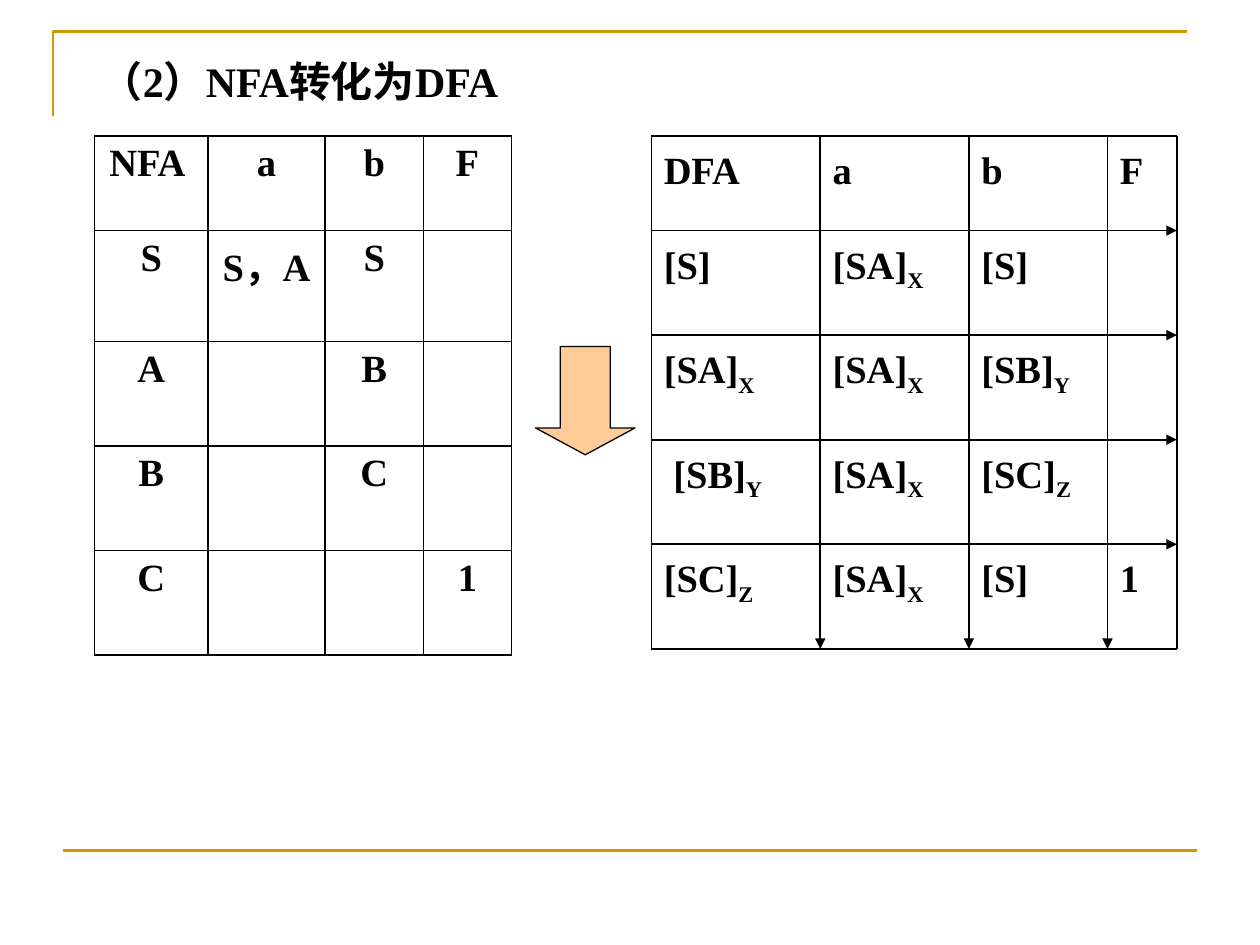
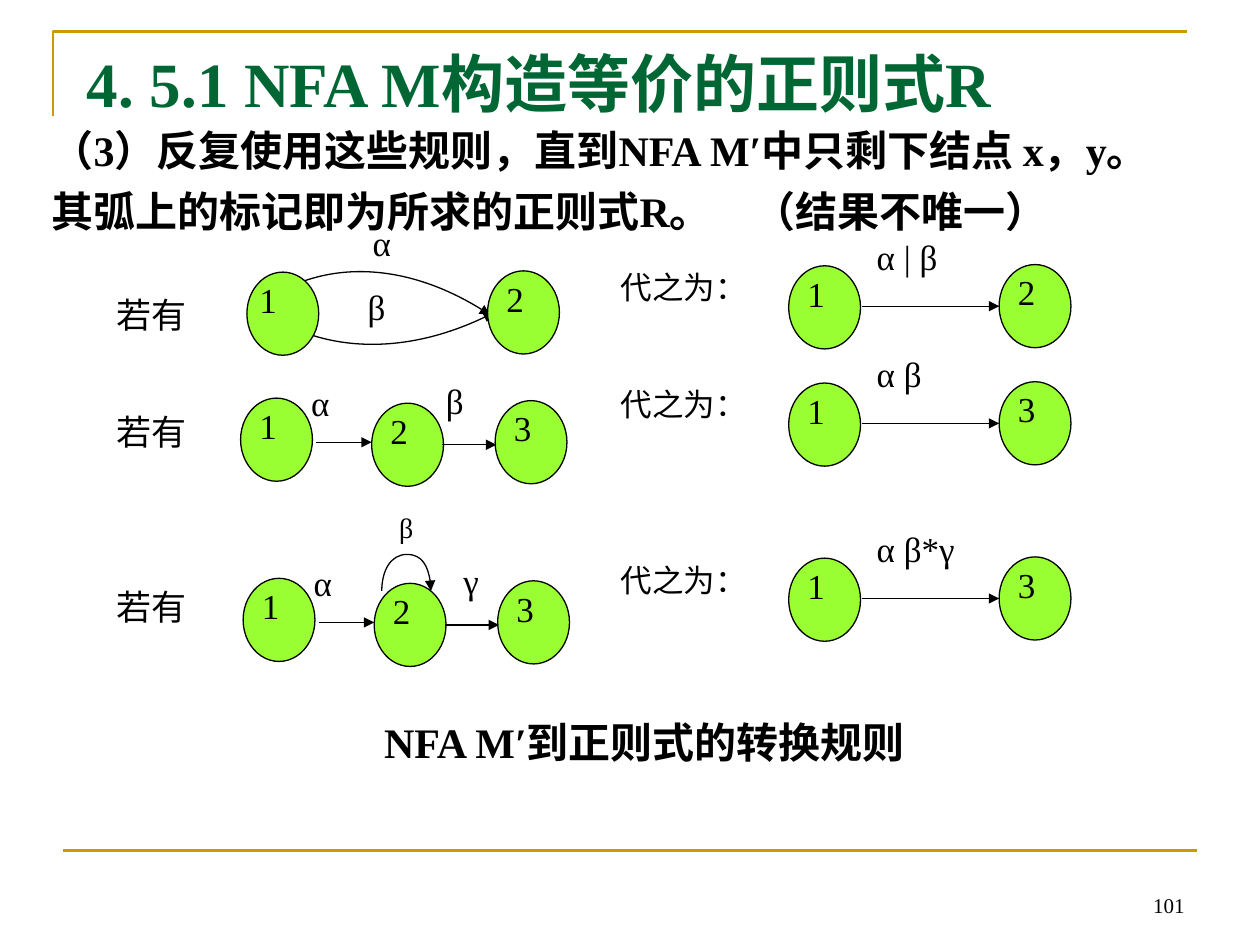
from itertools import accumulate

from lxml import etree
from pptx import Presentation
from pptx.dml.color import RGBColor
from pptx.enum.shapes import MSO_CONNECTOR, MSO_SHAPE
from pptx.enum.text import MSO_ANCHOR, MSO_AUTO_SIZE, PP_ALIGN
from pptx.oxml.ns import qn
from pptx.util import Inches, Pt

STRAIGHT = MSO_CONNECTOR.STRAIGHT
OVAL, DOWN_ARROW = MSO_SHAPE.OVAL, MSO_SHAPE.DOWN_ARROW
LEFT, CENTER, RIGHT = PP_ALIGN.LEFT, PP_ALIGN.CENTER, PP_ALIGN.RIGHT
TOP, BOTTOM = MSO_ANCHOR.TOP, MSO_ANCHOR.BOTTOM
NO_AUTOFIT = MSO_AUTO_SIZE.NONE

FONT = "Times New Roman"
BLACK, GREEN, GOLD = "000000", "006633", "CC9900"
NODE_FILL, ARROW_FILL = "99FF33", "FFCC99"
NODE_WIDTH, NODE_HEIGHT = 0.57, 0.66
THIN, GRID_LINE, BAND_LINE = 0.75, 1, 1.5

NFA_ROWS = [
    ["NFA ", "a", "b", "F"],
    ["S", "S，A", "S", ""],
    ["A", "", "B", ""],
    ["B", "", "C", ""],
    ["C", "", "", "1"],
]
NFA_COLUMNS = [0.9, 0.93, 0.78, 0.7]
# An underscore starts a subscript
DFA_ROWS = [
    ["DFA", "a", "b", "F"],
    ["[S]", "[SA]_X", "[S]", ""],
    ["[SA]_X", "[SA]_X", "[SB]_Y", ""],
    [" [SB]_Y", "[SA]_X", "[SC]_Z", ""],
    ["[SC]_Z", "[SA]_X", "[S]", "1"],
]
DFA_COLUMNS = [1.34, 1.18, 1.1, 0.55]
ROW_HEIGHTS = [0.75] + [0.83] * 4
TABLE_TOP = 1.08


def color(hex_text):
    return RGBColor.from_string(hex_text)


def inches(*lengths):
    return [Inches(length) for length in lengths]


# Text

def format_paragraph(para, size, bold=False, hue=BLACK, align=LEFT):
    para.alignment = align
    for span in para.runs:
        span.font.name = FONT
        span.font.size = Pt(size)
        span.font.bold = bold
        span.font.color.rgb = color(hue)


def write(para, marked_text, size, **style):
    base, _, subscript = marked_text.partition("_")
    para.text = base
    if subscript:
        span = para.add_run()
        span.text = subscript
        span._r.get_or_add_rPr().set("baseline", "-25000")
    format_paragraph(para, size, **style)


def add_text(page, area, text, size, anchor=TOP, inset_top=0.05, **style):
    frame = page.shapes.add_textbox(*inches(*area)).text_frame
    frame.word_wrap = True
    frame.vertical_anchor = anchor
    frame.margin_top = Inches(inset_top)
    write(frame.paragraphs[0], text, size, **style)


def fill_placeholder(box, area, text, size, **style):
    box.left, box.top, box.width, box.height = inches(*area)
    frame = box.text_frame
    frame.auto_size = NO_AUTOFIT
    frame.vertical_anchor = TOP
    para = frame.paragraphs[0]
    properties = para._p.get_or_add_pPr()
    properties.set("marL", "0")
    properties.set("indent", "0")
    etree.SubElement(properties, qn("a:buNone"))
    para.space_before = Pt(0)
    write(para, text, size, bold=True, **style)
    return para


# Lines and shapes

def set_line(shape, width, hue=BLACK, arrow=False):
    shape.line.color.rgb = color(hue)
    shape.line.width = Pt(width)
    if arrow:
        tail = etree.SubElement(shape.element.spPr.get_or_add_ln(), qn("a:tailEnd"))
        tail.set("type", "triangle")


def add_line(page, start, end, width, hue=BLACK, arrow=False):
    line = page.shapes.add_connector(STRAIGHT, *inches(*start, *end))
    set_line(line, width, hue, arrow)
    etree.SubElement(line.element.spPr, qn("a:effectLst"))
    return line


def add_outline(page, points, width, hue=BLACK, arrow=False):
    start, *others = [inches(*point) for point in points]
    builder = page.shapes.build_freeform(*start)
    builder.add_line_segments(others, close=False)
    outline = builder.convert_to_shape()
    outline.fill.background()
    outline.shadow.inherit = False
    set_line(outline, width, hue, arrow)
    return outline


def add_curved_arrow(page, points):
    """Start point, then two control points and an end point per segment."""
    outline = add_outline(page, points, THIN, arrow=True)
    outline_path = next(outline.element.iter(qn("a:path")))
    steps = outline_path.findall(qn("a:lnTo"))
    for first in range(0, len(steps), 3):
        bezier = etree.SubElement(outline_path, qn("a:cubicBezTo"))
        for step in steps[first:first + 3]:
            bezier.append(step[0])
            outline_path.remove(step)


def add_filled(page, kind, area, fill):
    shape = page.shapes.add_shape(kind, *inches(*area))
    shape.shadow.inherit = False
    shape.fill.solid()
    shape.fill.fore_color.rgb = color(fill)
    set_line(shape, THIN)
    return shape


def add_node(page, left, top, label, label_shift=0.05):
    add_filled(page, OVAL, (left, top, NODE_WIDTH, NODE_HEIGHT), NODE_FILL)
    add_text(page, (left + label_shift, top, NODE_WIDTH, NODE_HEIGHT), label, 20)


# Tables

def border_cell(cell):
    properties = cell._tc.get_or_add_tcPr()
    for side in ("lnL", "lnR", "lnT", "lnB"):
        border = etree.SubElement(properties, qn(f"a:{side}"), w=str(Pt(GRID_LINE)))
        fill = etree.SubElement(border, qn("a:solidFill"))
        etree.SubElement(fill, qn("a:srgbClr"), val=BLACK)


def add_nfa_table(page):
    area = inches(0.75, TABLE_TOP, sum(NFA_COLUMNS), sum(ROW_HEIGHTS))
    table = page.shapes.add_table(len(NFA_ROWS), len(NFA_COLUMNS), *area).table
    table.first_row = table.horz_banding = False
    for column, width in zip(table.columns, NFA_COLUMNS):
        column.width = Inches(width)
    for row, height, texts in zip(table.rows, ROW_HEIGHTS, NFA_ROWS):
        row.height = Inches(height)
        for cell, text in zip(row.cells, texts):
            border_cell(cell)
            cell.fill.background()
            write(cell.text_frame.paragraphs[0], text, 22, bold=True, align=CENTER)


def add_dfa_grid(page):
    """Transition grid whose inner rules are arrows."""
    lefts = list(accumulate(DFA_COLUMNS, initial=5.17))
    tops = list(accumulate(ROW_HEIGHTS, initial=TABLE_TOP))
    for top, height, texts in zip(tops, ROW_HEIGHTS, DFA_ROWS):
        for left, width, text in zip(lefts, DFA_COLUMNS, texts):
            if text:
                add_text(page, (left, top, width, height), text, 22,
                         inset_top=0.08, bold=True)
    for left in lefts:
        inner = left not in (lefts[0], lefts[-1])
        add_line(page, (left, tops[0]), (left, tops[-1]), GRID_LINE, arrow=inner)
    for top in tops:
        inner = top not in (tops[0], tops[-1])
        add_line(page, (lefts[0], top), (lefts[-1], top), GRID_LINE, arrow=inner)


# Rewriting rules

def add_replacement(page, top, label, last_node):
    """One rule's wording and the single arc that replaces its left side."""
    add_text(page, (0.83, top + 0.17, 1.09, 0.7), "若有", 20)
    add_text(page, (4.83, top - 0.03, 1.31, 0.7), "代之为：", 18)
    add_text(page, (6.86, top - 0.29, 1.36, 0.7), label, 20)
    add_node(page, 6.26, top, "1")
    add_node(page, 7.93, top - 0.01, last_node)
    add_line(page, (6.84, top + 0.32), (7.93, top + 0.32), THIN, arrow=True)


def add_chain(page, left, top, second_label, second_label_left):
    """Three nodes joined by two arcs."""
    for number, (across, down) in enumerate([(0, 0), (1.04, 0.04), (2.02, 0.02)], 1):
        add_node(page, left + across, top + down, str(number))
    for start, end, down in [(0.6, 1.04, 0.35), (1.6, 2.03, 0.37)]:
        add_line(page, (left + start, top + down), (left + end, top + down),
                 THIN, arrow=True)
    add_text(page, (left + 0.46, top - 0.18, 0.65, 0.7), "α", 20)
    add_text(page, (left + second_label_left, top - 0.2, 0.87, 0.7), second_label, 20)


def add_parallel_arcs(page):
    add_curved_arrow(page, [(2.02, 2.42), (2.52, 2.81), (3.25, 2.83), (3.92, 2.48)])
    add_curved_arrow(page, [(2.04, 2.43), (2.07, 2.4), (2.11, 2.37), (2.16, 2.35),
                            (2.65, 2.05), (3.31, 2.11), (3.89, 2.5)])
    add_node(page, 1.96, 2.16, "1", label_shift=0)
    add_node(page, 3.87, 2.15, "2")
    add_text(page, (2.86, 1.71, 0.65, 0.7), "α", 20)
    add_text(page, (2.82, 2.22, 0.87, 0.7), "β", 20)


def add_self_loop(page):
    add_curved_arrow(page, [(3.03, 4.69), (3.03, 4.53), (3.1, 4.4), (3.23, 4.4),
                            (3.35, 4.4), (3.42, 4.53), (3.42, 4.69)])
    add_text(page, (3.07, 4, 0.43, 0.46), "β", 16)


# Slides

def add_master_bands(deck, page):
    corner = add_outline(page, [(0.42, 0.92), (0.42, 0.25), (9.42, 0.25)],
                         BAND_LINE, GOLD)
    rule = add_line(page, (0.5, 6.75), (9.5, 6.75), BAND_LINE, GOLD)
    for band in (corner, rule):
        deck.slide_master.shapes.element.append(band.element)


def build_conversion(page):
    fill_placeholder(page.shapes.title, (0.7, 0.39, 4.06, 0.51),
                     "（2）NFA转化为DFA", 24)
    add_nfa_table(page)
    add_dfa_grid(page)
    arrow = add_filled(page, DOWN_ARROW, (4.25, 2.75, 0.79, 0.86), ARROW_FILL)
    arrow.adjustments[0], arrow.adjustments[1] = 0.5, 0.27


def build_rules(page):
    fill_placeholder(page.shapes.title, (0.59, 0.3, 8.74, 0.61),
                     "4. 5.1 NFA M构造等价的正则式R", 36, hue=GREEN)
    body = fill_placeholder(
        page.placeholders[1], (0.31, 0.86, 8.98, 1.03),
        "（3）反复使用这些规则，直到NFA M′中只剩下结点 x，y。"
        "其弧上的标记即为所求的正则式R。　（结果不唯一）", 24)
    body.line_spacing = 1.2
    add_parallel_arcs(page)
    add_chain(page, 1.91, 3.16, "β", 1.53)
    add_chain(page, 1.93, 4.59, "γ", 1.65)
    add_self_loop(page)
    for top, label, last_node in [(2.11, "α | β", "2"), (3.04, "α β", "3"),
                                  (4.43, "α β*γ", "3")]:
        add_replacement(page, top, label, last_node)
    add_text(page, (2.95, 5.64, 5, 0.54), "NFA M′到正则式的转换规则", 24, bold=True)
    add_text(page, (7.17, 6.83, 2.33, 0.5), "101", 12, anchor=BOTTOM, align=RIGHT)


def main():
    deck = Presentation()
    deck.slide_width, deck.slide_height = inches(10, 7.5)
    conversion = deck.slides.add_slide(deck.slide_layouts[5])
    add_master_bands(deck, conversion)
    build_conversion(conversion)
    build_rules(deck.slides.add_slide(deck.slide_layouts[1]))
    deck.save("out.pptx")


if __name__ == "__main__":
    main()
